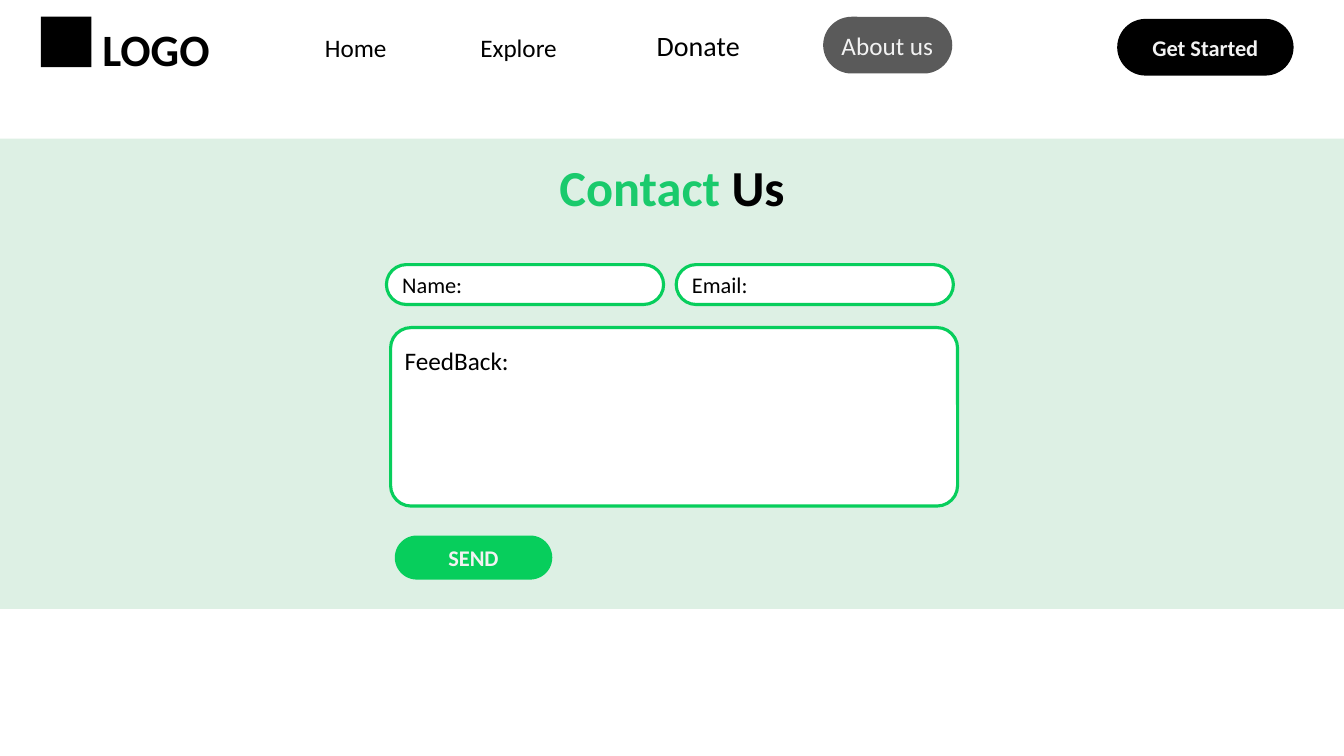
"""Build a contact page mock-up with a navigation bar and a feedback form."""
from lxml import etree
from pptx import Presentation
from pptx.dml.color import RGBColor
from pptx.enum.shapes import MSO_SHAPE
from pptx.enum.text import MSO_ANCHOR, MSO_AUTO_SIZE, PP_ALIGN
from pptx.oxml.ns import qn
from pptx.util import Pt

PX = 9525
FONT = "Calibri"
RECT, ROUND = MSO_SHAPE.RECTANGLE, MSO_SHAPE.ROUNDED_RECTANGLE
LEFT, CENTER = PP_ALIGN.LEFT, PP_ALIGN.CENTER
MIDDLE = MSO_ANCHOR.MIDDLE
FIT = MSO_AUTO_SIZE.SHAPE_TO_FIT_TEXT
COLORS = {
    "black": "000000",
    "charcoal": "0D0D0D",
    "white": "FFFFFF",
    "light": "F2F2F2",
    "mint": "DDF0E4",
    "green": "07CE5C",
    "title green": "1ACA6C",
}


def add_panel(kind, left, top, width, height, fill, outline=None, rounding=0.5):
    panel = slide.shapes.add_shape(kind, left * PX, top * PX, width * PX, height * PX)
    panel.shadow.inherit = False
    panel.fill.solid()
    panel.fill.fore_color.rgb = RGBColor.from_string(COLORS[fill])
    if outline:
        panel.line.color.rgb = RGBColor.from_string(COLORS[outline])
        panel.line.width = Pt(2.25)
    else:
        panel.line.fill.background()
    if kind == ROUND:
        panel.adjustments[0] = rounding
    return panel


def write(frame, text, size=18, color="black", bold=False, align=LEFT):
    paragraph = frame.paragraphs[0]
    paragraph.alignment = align
    run = paragraph.add_run()
    run.text = text
    run.font.name = FONT
    run.font.size = Pt(size)
    run.font.bold = bold
    run.font.color.rgb = RGBColor.from_string(COLORS[color])


prs = Presentation()
prs.slide_width, prs.slide_height = 1280 * PX, 720 * PX
slide = prs.slides.add_slide(prs.slide_layouts[6])

add_panel(RECT, 0, 132, 1280, 448, "mint")
current_page = add_panel(ROUND, 784, 16, 123, 54, "charcoal")
current_color = current_page.fill._xPr.find(qn("a:solidFill"))[0]
etree.SubElement(current_color, qn("a:alpha"), val="68000")
add_panel(RECT, 39, 16, 48, 48, "black")

for label, left, top, width, style in [
    ("Get Started", 1064, 18, 168, {"fill": "black", "height": 54}),
    ("SEND", 376, 510, 150, {"fill": "green", "height": 42}),
]:
    button = add_panel(ROUND, left, top, width, **style)
    button.text_frame.vertical_anchor = MIDDLE
    write(button.text_frame, label, size=16, color="light", bold=True, align=CENTER)

for label, left in [("Name:", 368), ("Email:", 644)]:
    field = add_panel(ROUND, left, 252, 264, 38, "white", outline="green")
    field.text_frame.vertical_anchor = MIDDLE
    write(field.text_frame, label, size=16)

add_panel(ROUND, 372, 312, 540, 170, "white", outline="green", rounding=0.115)

bold_title = {"size": 36, "bold": True, "align": CENTER}
for left, top, width, height, wrap, parts in [
    (88, 16, 123, 61, False, [("LOGO", {"size": 32, "bold": True})]),
    (300, 26, 79, 38, False, [("Home", {})]),
    (448, 26, 93, 38, False, [("Explore", {})]),
    (616, 22, 99, 42, False, [("Donate", {"size": 20})]),
    (792, 24, 108, 38, False, [("About us", {"color": "light"})]),
    (522, 144, 236, 68, False, [("Contact ", {"color": "title green", **bold_title}),
                                ("Us", bold_title)]),
    (376, 324, 144, 38, True, [("FeedBack:", {})]),
]:
    caption = slide.shapes.add_textbox(left * PX, top * PX, width * PX, height * PX)
    caption.text_frame.word_wrap = wrap
    caption.text_frame.auto_size = FIT
    for text, style in parts:
        write(caption.text_frame, text, **style)

prs.save("out.pptx")
